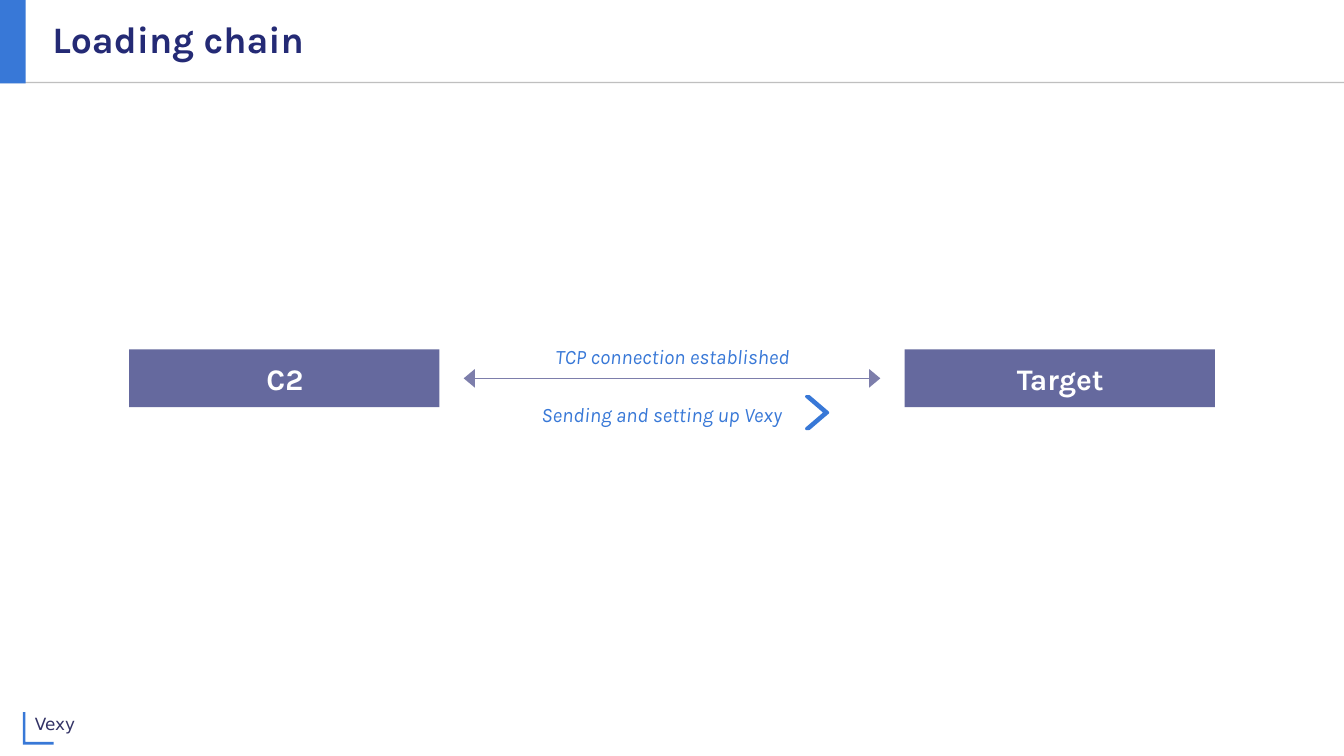
from lxml import etree
from pptx import Presentation
from pptx.dml.color import RGBColor
from pptx.enum.shapes import MSO_CONNECTOR, MSO_SHAPE
from pptx.enum.text import MSO_ANCHOR, PP_ALIGN
from pptx.oxml.ns import qn
from pptx.util import Inches, Pt

NAVY = RGBColor(0x24, 0x2A, 0x75)
BLUE = RGBColor(0x38, 0x78, 0xD7)
INDIGO = RGBColor(0x33, 0x33, 0x66)
LAVENDER = RGBColor(0x7D, 0x7E, 0xAB)
GREY = RGBColor(0xBF, 0xBF, 0xBF)
WHITE = RGBColor(0xFF, 0xFF, 0xFF)

SLIDE_W = 10
SLIDE_H = SLIDE_W * 9 / 16


def write(shape, text, size, color, align=PP_ALIGN.LEFT, anchor=MSO_ANCHOR.TOP,
          font="Karla", bold=False, italic=False):
    frame = shape.text_frame
    frame.word_wrap = True
    frame.vertical_anchor = anchor
    frame.margin_right = frame.margin_bottom = 0
    frame.margin_left = frame.margin_top = Inches(0.01)
    frame.text = text
    paragraph = frame.paragraphs[0]
    paragraph.alignment = align
    style = paragraph.runs[0].font
    style.name, style.size, style.bold, style.italic = font, Pt(size), bold, italic
    style.color.rgb = color


def add_label(slide, box, text, size, color, **style):
    label = slide.shapes.add_textbox(*map(Inches, box))
    write(label, text, size, color, **style)


def add_block(slide, box, color):
    block = slide.shapes.add_shape(MSO_SHAPE.RECTANGLE, *map(Inches, box))
    block.shadow.inherit = False
    block.fill.solid()
    block.fill.fore_color.rgb = color
    block.line.fill.background()
    return block


def add_outline(slide, points):
    start, *rest = [(Inches(x), Inches(y)) for x, y in points]
    builder = slide.shapes.build_freeform(*start)
    builder.add_line_segments(rest, close=True)
    outline = builder.convert_to_shape()
    outline.shadow.inherit = False
    return outline


def add_header(slide, left, top, width, height, title):
    # Rule, accent bar and title
    add_block(slide, (left, top + height - 0.01, width, 0.01), GREY)
    add_block(slide, (left, top, 0.19, height), BLUE)
    add_label(slide, (left + 0.38, top + 0.11, 3.83, 0.35), title, 20, NAVY, bold=True)


def add_footer(slide, left, top, width, height, name):
    # Corner bracket and project name
    arm, thick = 0.23, 0.02
    right, bottom = left + arm, top + height
    corner = add_outline(slide, [
        (left, top), (left + thick, top), (left + thick, bottom - thick),
        (right, bottom - thick), (right, bottom), (left, bottom)])
    corner.fill.solid()
    corner.fill.fore_color.rgb = BLUE
    corner.line.fill.background()
    add_label(slide, (left + 0.08, top, width, 0.17), name, 9, INDIGO,
              font="DejaVu Sans")


def add_host(slide, left, top, width, height, name):
    host = add_block(slide, (left, top, width, height), NAVY)
    fill_color = host.fill._xPr.find(qn("a:solidFill"))[0]
    etree.SubElement(fill_color, qn("a:alpha"), val="70000")
    write(host, name, 16, WHITE, PP_ALIGN.CENTER, MSO_ANCHOR.MIDDLE, bold=True)


def add_link(slide, left, top, width, height, above, below):
    # Double-headed arrow
    middle = Inches(top + height / 2)
    arrow = slide.shapes.add_connector(
        MSO_CONNECTOR.STRAIGHT, Inches(left), middle, Inches(left + width), middle)
    arrow.line.color.rgb = LAVENDER
    arrow.line.width = Pt(0.5)
    for end in ("a:headEnd", "a:tailEnd"):
        etree.SubElement(arrow.line._get_or_add_ln(), qn(end),
                         type="triangle", w="lg", len="med")
    etree.SubElement(arrow._element.spPr, qn("a:effectLst"))

    # Captions above and below
    caption = dict(size=11, color=BLUE, align=PP_ALIGN.CENTER, italic=True)
    add_label(slide, (left + 0.32, top - 0.05, width - 0.64, 0.2), above, **caption)
    add_label(slide, (left + 0.39, top + 0.38, 2.16, 0.2), below, **caption)

    # Chevron after the lower caption
    x, y = left + 2.55, top + 0.35
    chevron = add_outline(slide, [
        (x + 0.02, y), (x, y), (x + 0.14, y + 0.12), (x, y + 0.24),
        (x + 0.02, y + 0.24), (x + 0.16, y + 0.12)])
    chevron.fill.background()
    chevron.line.color.rgb = BLUE
    chevron.line.width = Pt(1.5)


def add_chain(slide, left, top, width, height):
    host_w, gap = 2.31, 0.18
    add_host(slide, left, top, host_w, height, "C2")
    add_host(slide, left + width - host_w, top, host_w, height, "Target")
    inset = host_w + gap
    add_link(slide, left + inset, top, width - 2 * inset, height,
             "TCP connection established", "Sending and setting up Vexy")


def main():
    deck = Presentation()
    deck.slide_width, deck.slide_height = Inches(SLIDE_W), Inches(SLIDE_H)
    slide = deck.slides.add_slide(deck.slide_layouts[6])
    add_header(slide, 0, 0, SLIDE_W, 0.62, "Loading chain")
    add_chain(slide, 0.96, 2.6, 8.08, 0.43)
    add_footer(slide, 0.17, 5.3, 1.76, 0.24, "Vexy")
    deck.save("out.pptx")


if __name__ == "__main__":
    main()
